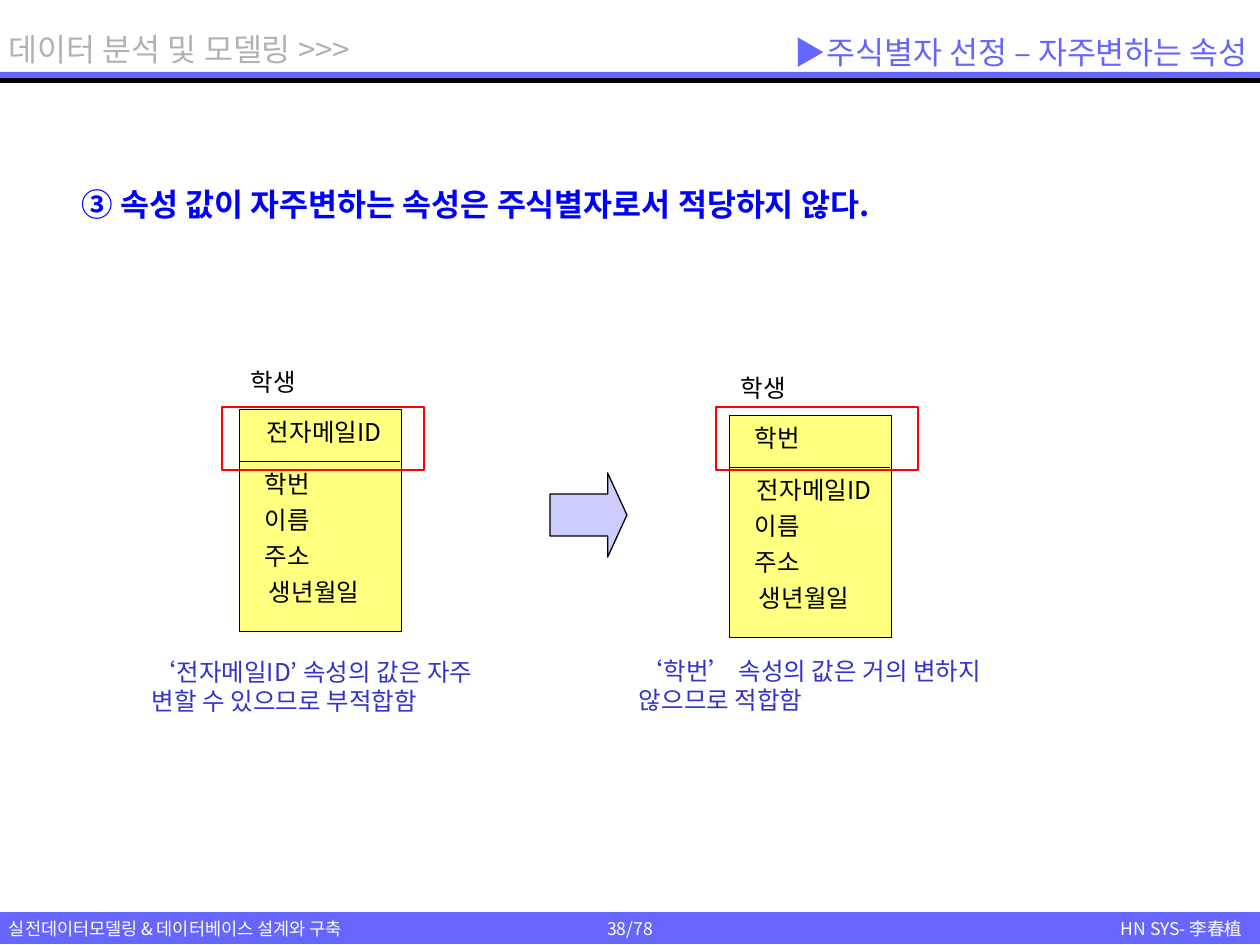
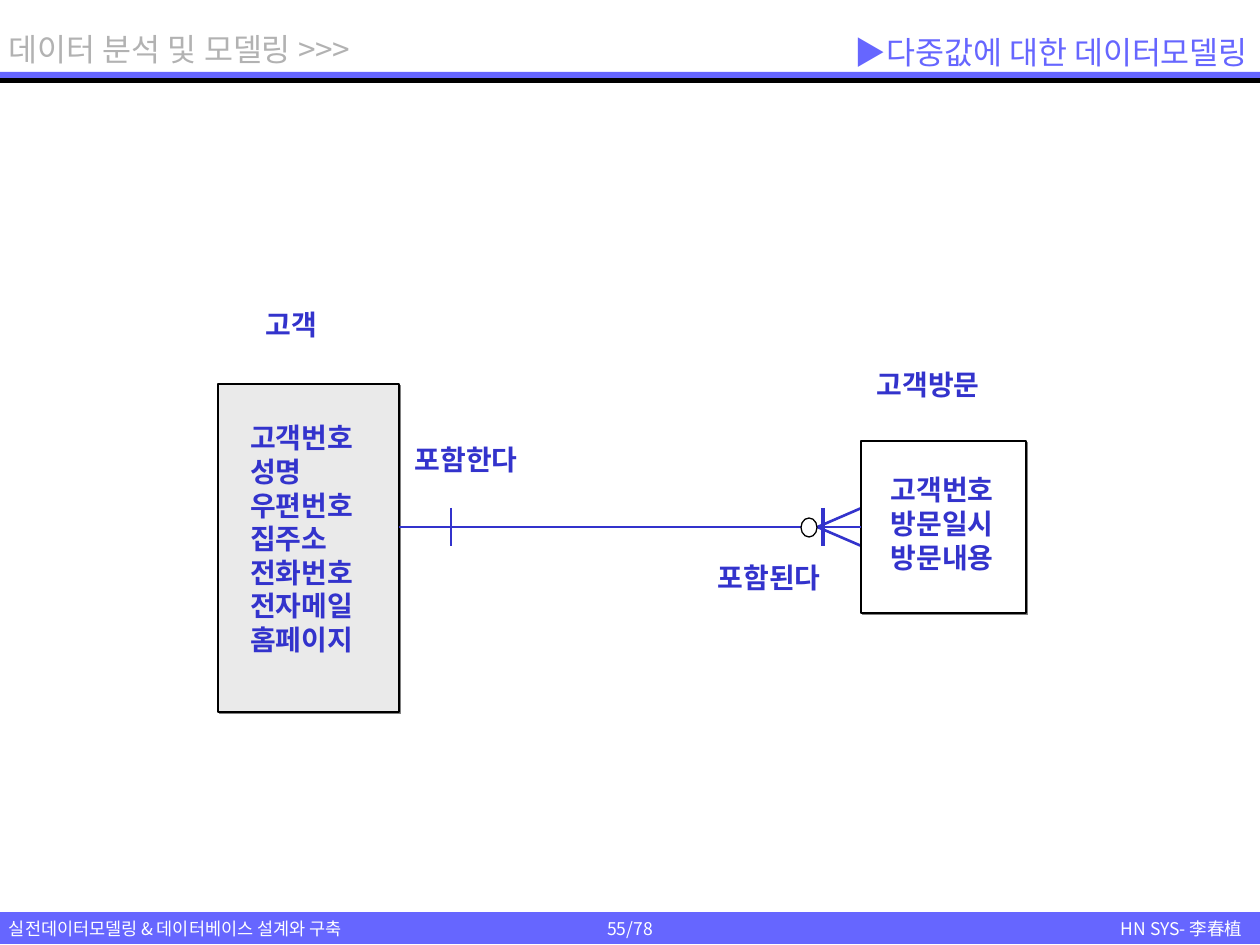
import dataclasses

import lxml.etree
import pptx
import pptx.dml.color
import pptx.enum.shapes
import pptx.enum.text
import pptx.oxml.ns
import pptx.util

SHAPE = pptx.enum.shapes.MSO_SHAPE
ALIGN = pptx.enum.text.PP_ALIGN
ANCHOR = pptx.enum.text.MSO_ANCHOR
PX = 914400 / 126
SLIDE_W, SLIDE_H = 1260, 945


@dataclasses.dataclass(frozen=True)
class Theme:
    font: str = "Noto Sans CJK KR"
    band: str = "6666FF"
    section: str = "B2B2B2"
    heading: str = "0000FF"
    ink: str = "3333CC"
    black: str = "000000"
    white: str = "FFFFFF"
    entity: str = "FFFF80"
    customer: str = "EAEAEA"
    arrow: str = "CCCCFF"
    highlight: str = "FF0000"
    shadow: str = "808080"
    title_size: int = 18
    relation_size: int = 16
    body_size: int = 14
    footer_size: int = 10
    hairline: float = 0.1


THEME = Theme()


def px(length):
    return pptx.util.Emu(round(length * PX))


def rgb(color):
    return pptx.dml.color.RGBColor.from_string(color)


def sub(parent, tag, **attributes):
    return lxml.etree.SubElement(parent, pptx.oxml.ns.qn(tag), attributes)


def write(frame, text, *, size, color, bold=False, align=ALIGN.LEFT,
          anchor=ANCHOR.TOP, margin=(13, 6)):
    """Fill a text frame, one paragraph per line of text."""
    frame.word_wrap = False
    frame.vertical_anchor = anchor
    frame.margin_left = frame.margin_right = px(margin[0])
    frame.margin_top = frame.margin_bottom = px(margin[1])
    for index, line in enumerate(text.split("\n")):
        paragraph = frame.add_paragraph() if index else frame.paragraphs[0]
        paragraph.alignment = align
        run = paragraph.add_run()
        run.text = line
        run.font.size = pptx.util.Pt(size)
        run.font.bold = bold
        run.font.color.rgb = rgb(color)
        run.font.name = THEME.font
        sub(run.font._element, "a:ea", typeface=THEME.font)


def add_text(slide, box, text, **style):
    frame = slide.shapes.add_textbox(*map(px, box)).text_frame
    write(frame, text, **style)
    if frame.vertical_anchor == ANCHOR.TOP:
        frame.auto_size = pptx.enum.text.MSO_AUTO_SIZE.SHAPE_TO_FIT_TEXT


def add_box(slide, box, kind=SHAPE.RECTANGLE, fill=None, line=None, width=0.75):
    shape = slide.shapes.add_shape(kind, *map(px, box))
    shape.shadow.inherit = False
    if fill:
        shape.fill.solid()
        shape.fill.fore_color.rgb = rgb(fill)
    else:
        shape.fill.background()
    if line:
        shape.line.color.rgb = rgb(line)
        shape.line.width = pptx.util.Pt(width)
    else:
        shape.line.fill.background()
    return shape


def add_line(slide, start, end, color, width):
    line = slide.shapes.add_connector(
        pptx.enum.shapes.MSO_CONNECTOR.STRAIGHT, *map(px, (*start, *end)))
    line.line.color.rgb = rgb(color)
    line.line.width = pptx.util.Pt(width)
    sub(line._element.spPr, "a:effectLst")
    return line


def add_shadow(shape):
    effects = shape._element.spPr.find(pptx.oxml.ns.qn("a:effectLst"))
    shadow = sub(effects, "a:outerShdw", dist="17780", dir="2700000",
                 algn="ctr", rotWithShape="0")
    sub(shadow, "a:srgbClr", val=THEME.shadow)


# Header and footer shared by the slides
def add_frame(prs, title, page):
    slide = prs.slides.add_slide(prs.slide_layouts[6])
    footer = add_box(slide, (0, 912, SLIDE_W, 32), fill=THEME.band)
    small = dict(size=THEME.footer_size, color=THEME.white)
    write(footer.text_frame, f"{page}/78", align=ALIGN.CENTER,
          anchor=ANCHOR.MIDDLE, **small)
    add_text(slide, (-4, 912, 400, 34), "실전데이터모델링 & 데이터베이스 설계와 구축", **small)
    add_text(slide, (1075, 912, 180, 34), "HN SYS- 李春植", align=ALIGN.RIGHT, **small)

    add_box(slide, (0, 72, SLIDE_W, 8), fill=THEME.band)
    for y in (79, 80, 82):
        add_line(slide, (0, y), (SLIDE_W, y), THEME.black, 0.75)
    add_text(slide, (-4, 24, 400, 50), "데이터 분석 및 모델링 >>>",
             size=THEME.title_size, color=THEME.section)
    add_text(slide, (630, 25, 631, 54), f"▶{title}", size=THEME.title_size,
             color=THEME.band, align=ALIGN.RIGHT, anchor=ANCHOR.MIDDLE)
    return slide


# Student entity: name above, key over a divider, attributes below
def add_student(slide, left, top, key, attributes):
    width, height, divider, row_step = 162, 222, 52, 36
    text_width = 136
    style = dict(size=THEME.body_size, color=THEME.black, margin=(0, 0))
    add_box(slide, (left, top, width, height), fill=THEME.entity,
            line=THEME.black, width=THEME.hairline)
    add_line(slide, (left, top + divider), (left + width - 1, top + divider),
             THEME.black, THEME.hairline)
    add_text(slide, (left + 12, top - 42, text_width, 29), "학생", **style)
    offsets = [8] + [60 + row_step * i for i in range(len(attributes))]
    for offset, (name, indent) in zip(offsets, [key, *attributes]):
        add_text(slide, (left + 26 + indent, top + offset, text_width, 29),
                 name, **style)


def add_key_choice_slide(prs):
    slide = add_frame(prs, "주식별자 선정 – 자주변하는 속성", 38)
    add_text(slide, (69, 179, 886, 50),
             "③ 속성 값이 자주변하는 속성은 주식별자로서 적당하지 않다.",
             size=THEME.title_size, color=THEME.heading, bold=True)

    # Attribute names with their indents
    email, number = ("전자메일ID", 2), ("학번", 0)
    common = [("이름", 0), ("주소", 0), ("생년월일", 4)]
    add_student(slide, 239, 409, email, [number, *common])
    add_student(slide, 729, 415, number, [email, *common])

    arrow = add_box(slide, (550, 473, 77, 84), SHAPE.RIGHT_ARROW,
                    THEME.arrow, THEME.black)
    arrow.adjustments[0], arrow.adjustments[1] = 0.5, 0.25

    # Key highlights and verdicts
    for left in (222, 716):
        add_box(slide, (left, 407, 202, 63), line=THEME.highlight, width=1.5)
    verdicts = [
        ((139, 651, 390, 72), "‘전자메일ID’ 속성의 값은 자주\n변할 수 있으므로 부적합함"),
        ((626, 650, 420, 72), "‘학번’ 속성의 값은 거의 변하지\n않으므로 적합함"),
    ]
    for box, verdict in verdicts:
        add_text(slide, box, verdict, size=THEME.body_size, color=THEME.ink)


# Shadowed entity with its attribute list
def add_entity(slide, box, fill, inset, attributes):
    entity = add_box(slide, box, fill=fill, line=THEME.black)
    add_shadow(entity)
    left, top = box[0] + inset[0], box[1] + inset[1]
    add_text(slide, (left, top, 120, 34 * len(attributes)), "\n".join(attributes),
             size=THEME.relation_size, color=THEME.ink, bold=True, margin=(0, 0))
    return entity


# Relationship line with its one and many ends
def add_relationship(slide, left, right, y, visit):
    line = add_line(slide, (left, y), (right, y), THEME.ink, 1.5)
    line.end_connect(visit, 1)
    for x, width in ((left + 52, 1.5), (right - 38, 2.25)):
        add_line(slide, (x, y - 19), (x, y + 19), THEME.ink, width)
    add_box(slide, (right - 60, y - 9, 16, 19), SHAPE.OVAL, THEME.white, THEME.black)


def add_multivalue_slide(prs):
    slide = add_frame(prs, "다중값에 대한 데이터모델링", 55)

    # The visit entity hides the far part of the crow's foot
    crow_foot = add_box(slide, (822, 494, 57, 66), SHAPE.ISOSCELES_TRIANGLE,
                        line=THEME.ink, width=1.5)
    crow_foot.rotation = 270
    add_entity(slide, (218, 384, 181, 328), THEME.customer, (32, 37),
               ["고객번호", "성명", "우편번호", "집주소", "전화번호", "전자메일", "홈페이지"])
    visit = add_entity(slide, (861, 441, 165, 172), THEME.white, (30, 32),
                       ["고객번호", "방문일시", "방문내용"])
    add_relationship(slide, 399, 861, 527, visit)

    # Entity names and relationship labels
    labels = [("고객", 253, 302), ("고객방문", 864, 362),
              ("포함한다", 402, 437), ("포함된다", 705, 555)]
    for label, left, top in labels:
        add_text(slide, (left, top, 150, 47), label,
                 size=THEME.relation_size, color=THEME.ink, bold=True)


def main():
    prs = pptx.Presentation()
    prs.slide_width, prs.slide_height = px(SLIDE_W), px(SLIDE_H)
    add_key_choice_slide(prs)
    add_multivalue_slide(prs)
    prs.save("out.pptx")


if __name__ == "__main__":
    main()
